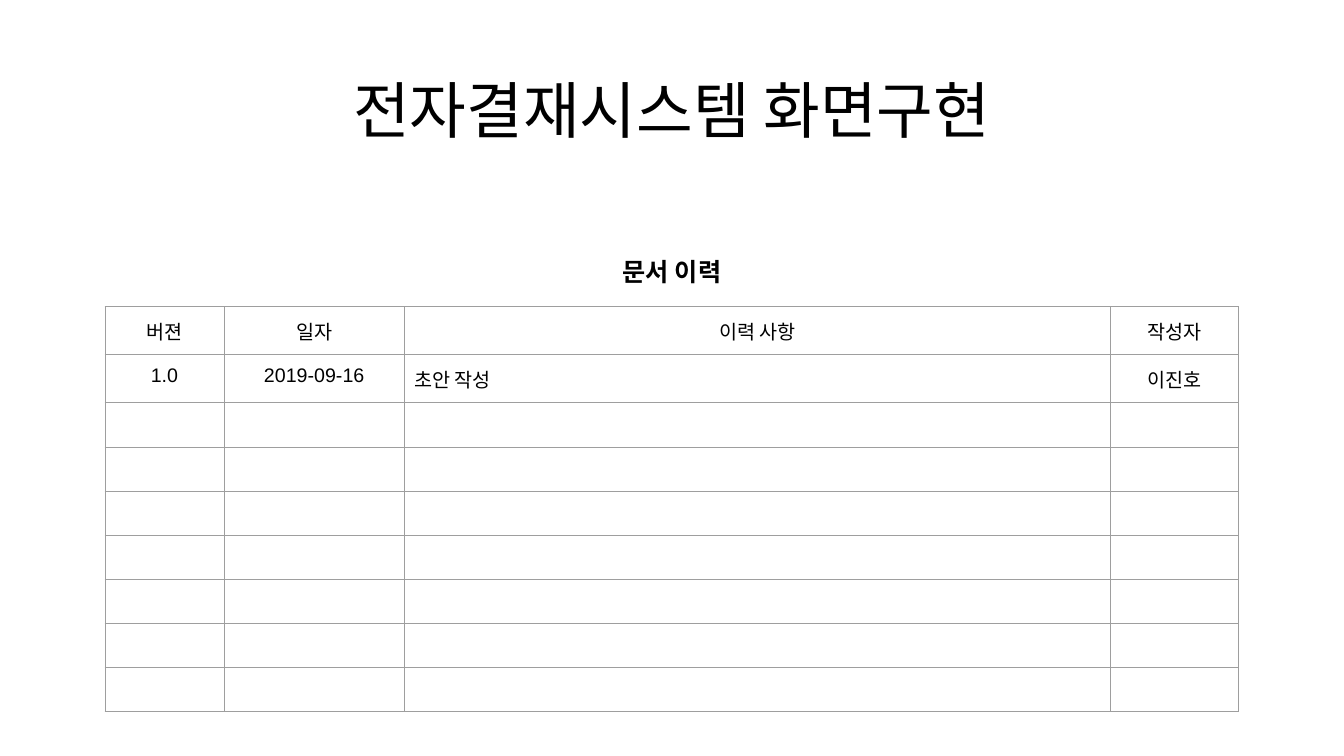
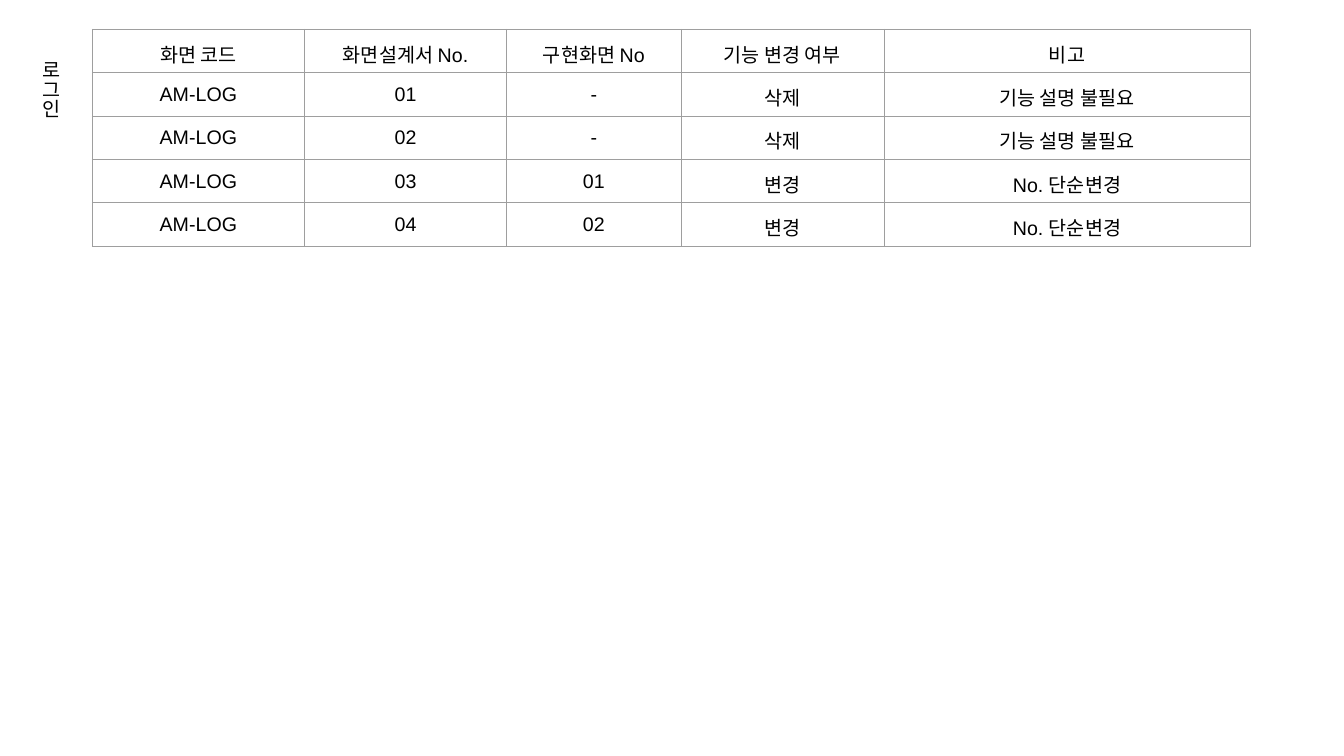
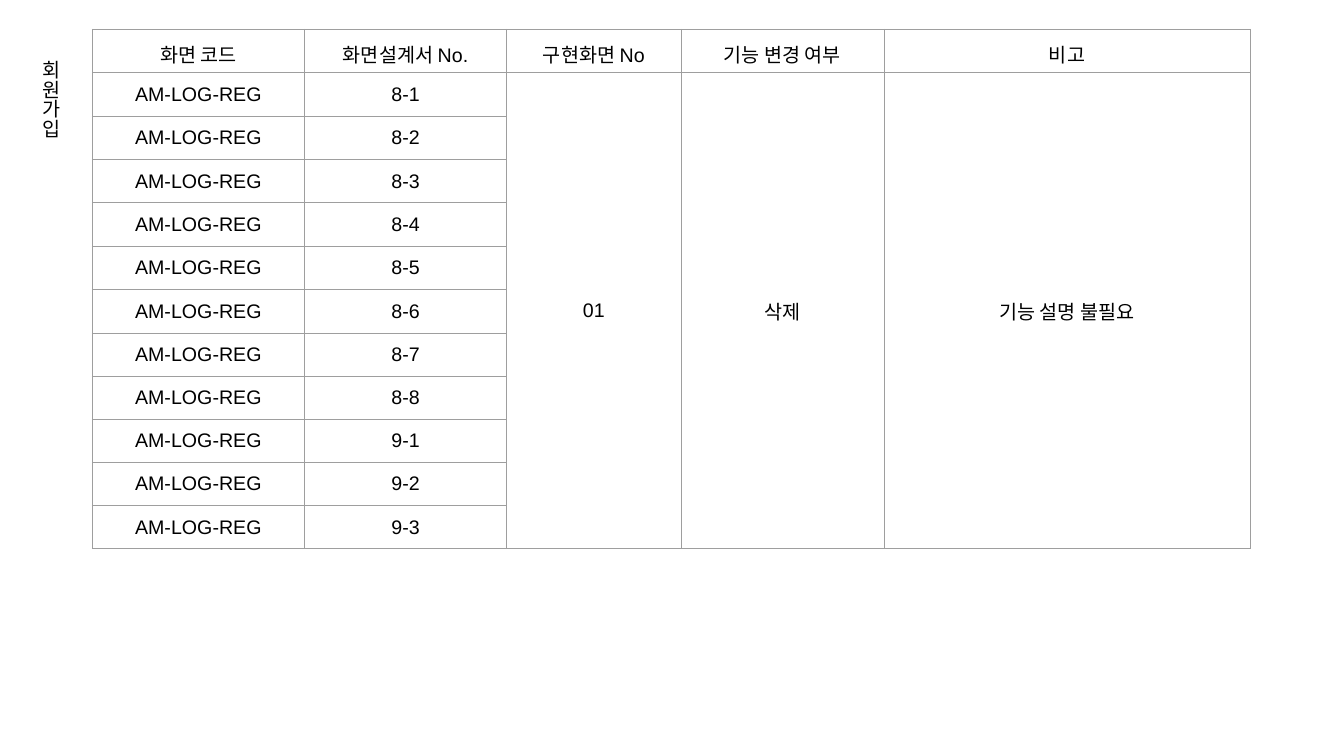
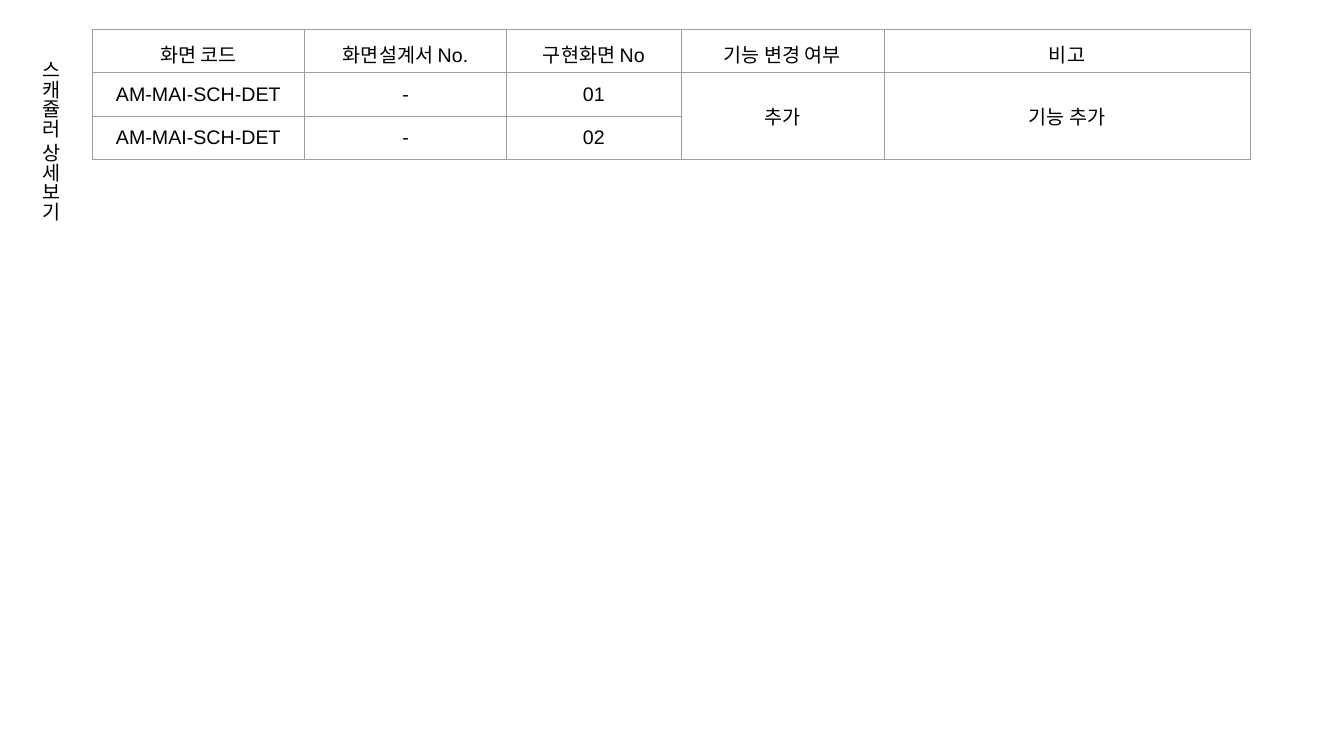
from dataclasses import dataclass
from lxml.etree import SubElement
from pptx import Presentation
from pptx.dml.color import RGBColor
from pptx.enum.text import MSO_ANCHOR, MSO_AUTO_SIZE, PP_ALIGN
from pptx.oxml import parse_xml
from pptx.oxml.ns import nsdecls, qn
from pptx.util import Pt

SCALE = 6350


def px(n):
    return n * SCALE


@dataclass(frozen=True)
class Theme:
    ink: str = "000000"
    rule: str = "9E9E9E"
    line: float = 0.75
    latin: str = "Arial"
    asian: str = "Noto Sans CJK KR"
    title: int = 44
    head: int = 18
    body: int = 14
    inset: int = 14


class Deck:
    def __init__(self, theme):
        self.theme = theme
        self.file = Presentation()
        self.file.slide_width = px(1920)
        self.file.slide_height = px(1080)
        self.slide = None

    def page(self, layout=6):
        self.slide = self.file.slides.add_slide(self.file.slide_layouts[layout])

    def label(self, frame, text, size, font, align=PP_ALIGN.CENTER, bold=False):
        para = frame.paragraphs[0]
        para.alignment = align
        run = para.add_run()
        run.text = text
        run.font.size = Pt(size)
        run.font.bold = bold
        run.font.color.rgb = RGBColor.from_string(self.theme.ink)
        run.font.name = font
        SubElement(run.font._element, qn("a:ea")).set("typeface", self.theme.asian)
        return para

    def pad(self, item):
        gap = px(self.theme.inset)
        item.margin_left = item.margin_right = gap
        item.margin_top = item.margin_bottom = gap

    def title(self, text, left, top, width, height):
        shape = self.slide.shapes.title
        shape.left, shape.top = px(left), px(top)
        shape.width, shape.height = px(width), px(height)
        frame = shape.text_frame
        frame.auto_size = MSO_AUTO_SIZE.NONE
        frame.vertical_anchor = MSO_ANCHOR.MIDDLE
        para = self.label(frame, text, self.theme.title, self.theme.asian)
        para.line_spacing = 0.9

    def box(self, left, top, width, height):
        shape = self.slide.shapes.add_textbox(px(left), px(top), px(width), px(height))
        shape.text_frame.word_wrap = True
        return shape.text_frame

    def head(self, text, left, top, width, height):
        frame = self.box(left, top, width, height)
        self.pad(frame)
        frame.vertical_anchor = MSO_ANCHOR.MIDDLE
        self.label(frame, text, self.theme.head, self.theme.asian, bold=True)

    def side(self, text, height):
        frame = self.box(33, 72, 63, height)
        frame.auto_size = MSO_AUTO_SIZE.SHAPE_TO_FIT_TEXT
        frame._txBody.bodyPr.set("vert", "eaVert")
        self.label(frame, text, self.theme.body, self.theme.latin, PP_ALIGN.LEFT)

    def border(self, cell):
        cell.fill.background()
        props = cell._tc.get_or_add_tcPr()
        for spot, edge in enumerate("LRTB"):
            props.insert(spot, parse_xml(
                f'<a:ln{edge} {nsdecls("a")} w="{Pt(self.theme.line)}"><a:solidFill>'
                f'<a:srgbClr val="{self.theme.rule}"/></a:solidFill></a:ln{edge}>'))

    def table(self, left, top, cols, tall, rows, anchor=MSO_ANCHOR.MIDDLE, flush=()):
        grid = self.slide.shapes.add_table(
            len(rows), len(cols), px(left), px(top), px(sum(cols)), px(sum(tall))).table
        grid.first_row = grid.horz_banding = False
        for col, width in zip(grid.columns, cols):
            col.width = px(width)
        for row, height in zip(grid.rows, tall):
            row.height = px(height)
        for r, row in enumerate(rows):
            for c, text in enumerate(row):
                cell = grid.cell(r, c)
                self.border(cell)
                if text:
                    self.pad(cell)
                    cell.vertical_anchor = anchor
                    align = PP_ALIGN.LEFT if (r, c) in flush else PP_ALIGN.CENTER
                    self.label(cell.text_frame, text, self.theme.body, self.theme.latin, align)
        for c in range(len(cols)):
            self.merge(grid, c, [row[c] for row in rows])

    def merge(self, grid, col, texts):
        first = 0
        for r in range(1, len(texts) + 1):
            if r == len(texts) or texts[r] is not None:
                if r - first > 1:
                    grid.cell(first, col).merge(grid.cell(r - 1, col))
                first = r

    def screen(self, name, rows, tall, height=235):
        self.page()
        head = ("화면 코드", "화면설계서 No.", "구현화면 No", "기능 변경 여부", "비고")
        self.table(132, 42, (303, 289, 249, 290, 523), tall, [head, *rows])
        self.side(name, height)


def main():
    deck = Deck(Theme())

    deck.page(5)
    deck.title("전자결재시스템 화면구현", 132, 58, 1656, 209)
    log = [("버젼", "일자", "이력 사항", "작성자"),
           ("1.0", "2019-09-16", "초안 작성", "이진호")] + [("",) * 4] * 7
    deck.table(150, 438, (170, 258, 1009, 183), [63] * 9, log,
               MSO_ANCHOR.TOP, flush={(1, 2)})
    deck.head("문서 이력", 150, 356, 1620, 63)

    drop = ("삭제", "기능 설명 불필요")
    edit = ("변경", "No. 단순변경")
    login = [("AM-LOG", "01", "-", *drop), ("AM-LOG", "02", "-", *drop),
             ("AM-LOG", "03", "01", *edit), ("AM-LOG", "04", "02", *edit)]
    deck.screen("로그인", login, [62] * 5)

    marks = [f"8-{n}" for n in range(1, 9)] + [f"9-{n}" for n in range(1, 4)]
    join = [("AM-LOG-REG", mark, *(("01", *drop) if n == 0 else (None,) * 3))
            for n, mark in enumerate(marks)]
    deck.screen("회원가입", join, [62] * 8 + [42] * 4)

    detail = [("AM-MAI-SCH-DET", "-", "01", "추가", "기능 추가"),
              ("AM-MAI-SCH-DET", "-", "02", None, None)]
    deck.screen("스캐쥴러 상세보기", detail, [62] * 3, 304)

    deck.file.save("out.pptx")


if __name__ == "__main__":
    main()
